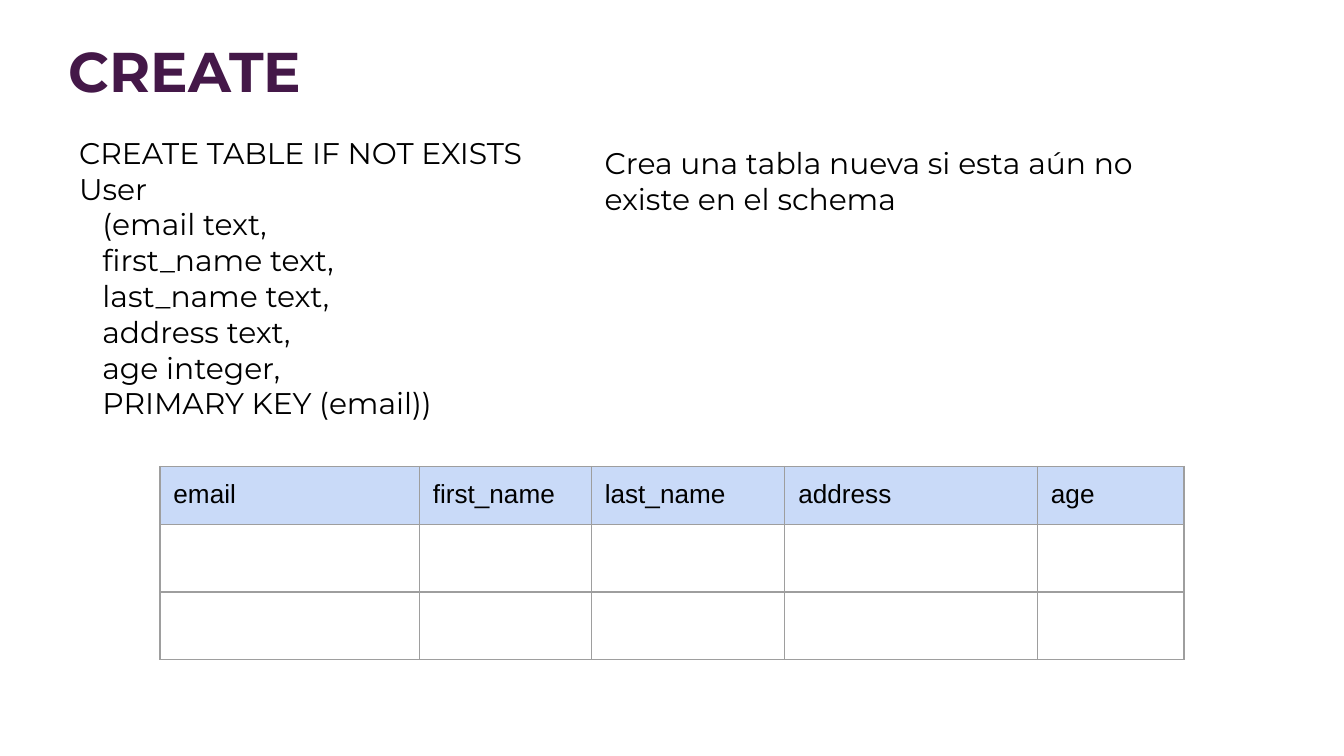
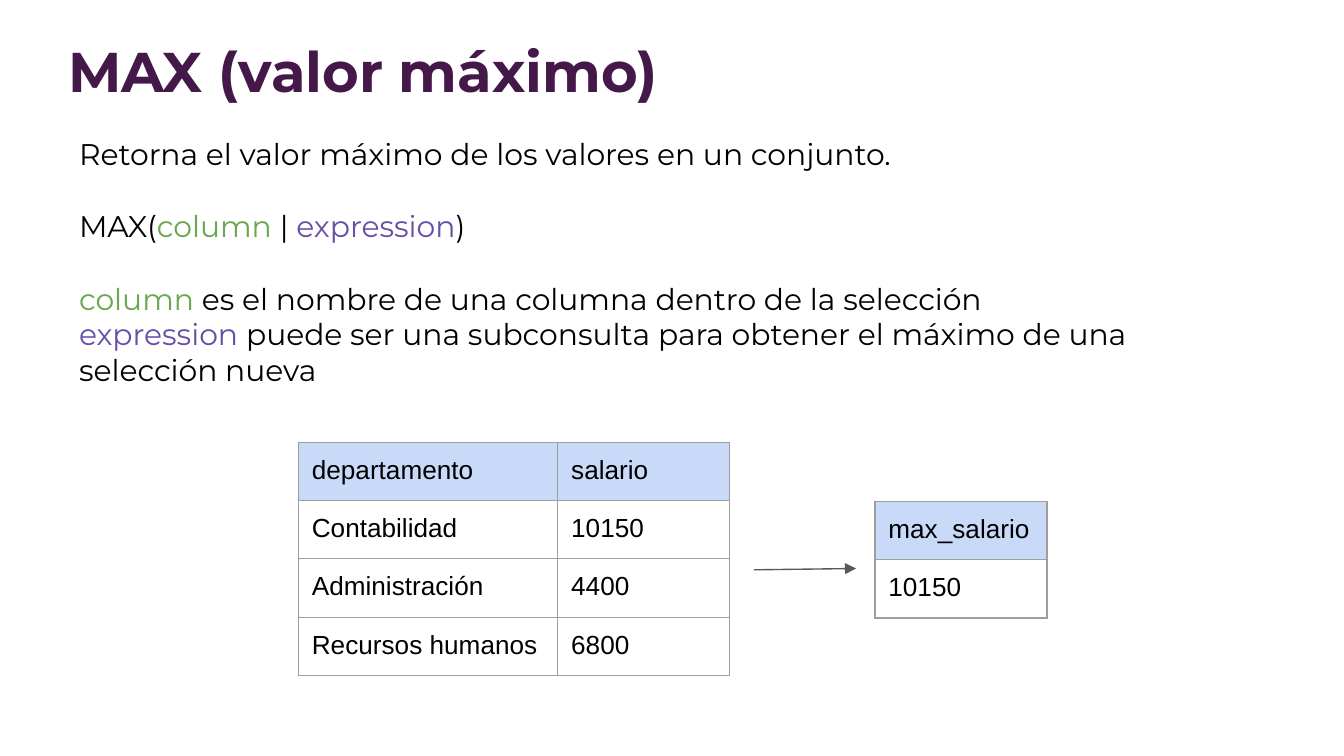
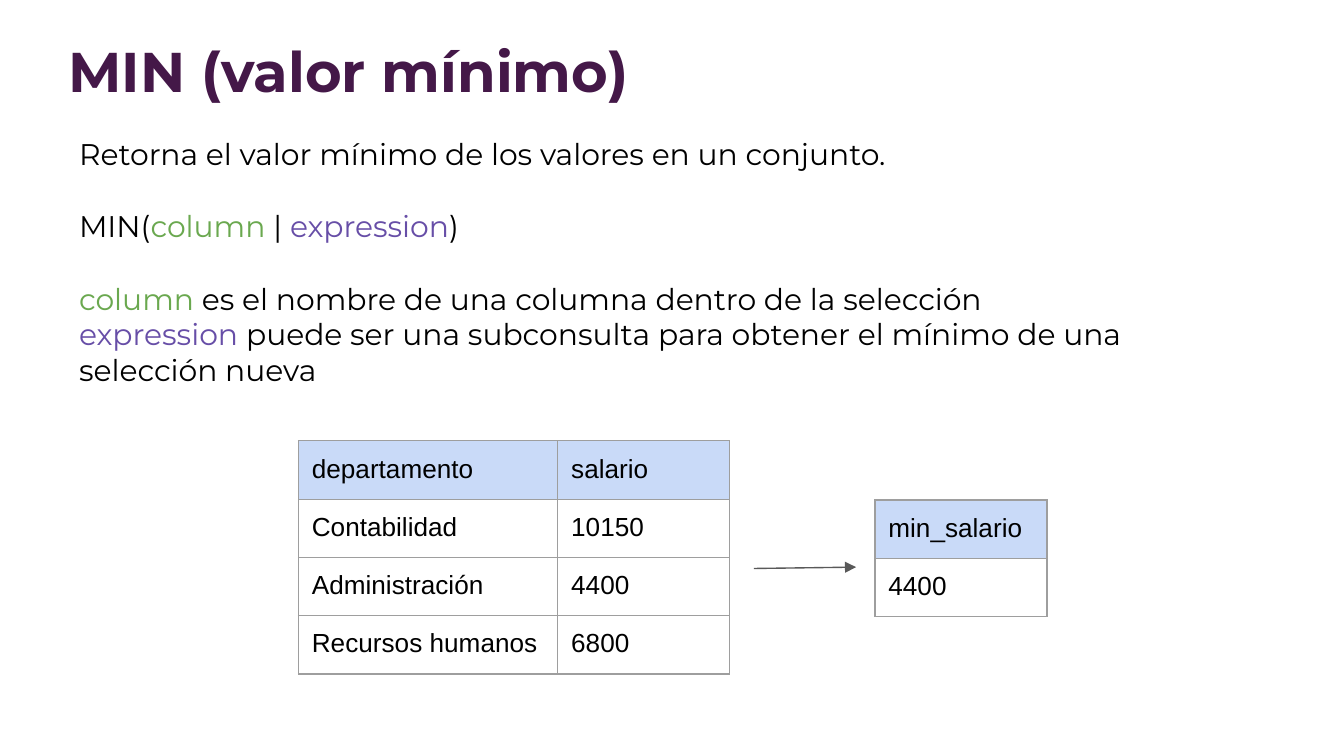
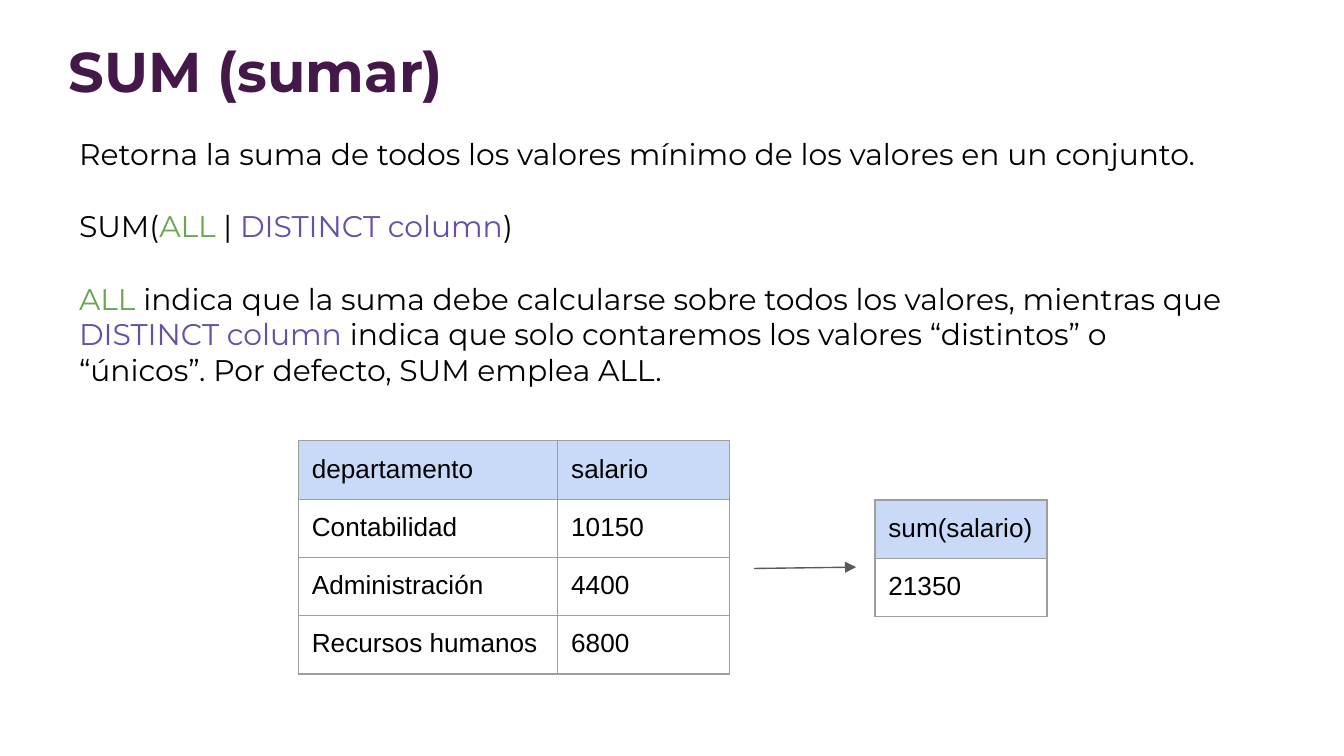
import pptx
import pptx.dml.color
import pptx.enum.shapes
import pptx.enum.text
import pptx.oxml
import pptx.oxml.ns
import pptx.util
from lxml import etree

Inches = pptx.util.Inches
Pt = pptx.util.Pt

BLACK = "000000"
PURPLE = "441848"
GREEN = "6AA84F"
VIOLET = "674EA7"
HEADER_FILL = "C9DAF8"
BORDER = "9E9E9E"
ARROW = "595959"
BODY_FONT = "Montserrat"
TABLE_FONT = "Arial"
MARGIN = 0.1
ROW_H = 0.43
EMPTY_ROW_H = 0.5
BLANK_LINE = 19.5

SALARIES = [
    ["departamento", "salario"],
    ["Contabilidad", "10150"],
    ["Administración", "4400"],
    ["Recursos humanos", "6800"],
]


def rgb(color):
    return pptx.dml.color.RGBColor.from_string(color)


def add_text(p, text, size=16, font=BODY_FONT, color=BLACK, bold=False):
    r = p.add_run()
    r.text = text
    r.font.size = Pt(size)
    r.font.name = font
    r.font.bold = bold
    r.font.color.rgb = rgb(color)


def set_frame(tf):
    tf.word_wrap = True
    tf.vertical_anchor = pptx.enum.text.MSO_ANCHOR.TOP
    tf.margin_left = tf.margin_right = Inches(MARGIN)
    tf.margin_top = tf.margin_bottom = Inches(MARGIN)


def add_slide(prs, title):
    s = prs.slides.add_slide(prs.slide_layouts[5])
    sp = s.shapes.title
    sp.left, sp.top = Inches(0.41), Inches(0.17)
    sp.width, sp.height = Inches(9.38), Inches(0.59)
    tf = sp.text_frame
    set_frame(tf)
    tf.auto_size = pptx.enum.text.MSO_AUTO_SIZE.NONE
    p = tf.paragraphs[0]
    p.alignment = pptx.enum.text.PP_ALIGN.LEFT
    add_text(p, title, size=30, color=PURPLE, bold=True)
    return s


def add_body(s, x, y, w, h, paragraphs, spaced=()):
    tf = s.shapes.add_textbox(Inches(x), Inches(y), Inches(w), Inches(h)).text_frame
    set_frame(tf)
    tf.auto_size = pptx.enum.text.MSO_AUTO_SIZE.SHAPE_TO_FIT_TEXT
    for i, runs in enumerate(paragraphs):
        p = tf.paragraphs[0] if i == 0 else tf.add_paragraph()
        if i in spaced:
            p.space_before = Pt(BLANK_LINE)
        for text, color in runs:
            add_text(p, text, color=color)


def set_borders(cell):
    tcPr = cell._tc.get_or_add_tcPr()
    for i, side in enumerate(("lnL", "lnR", "lnT", "lnB")):
        ln = pptx.oxml.parse_xml(
            f'<a:{side} {pptx.oxml.ns.nsdecls("a")} w="{Pt(0.75)}"><a:solidFill>'
            f'<a:srgbClr val="{BORDER}"/></a:solidFill></a:{side}>'
        )
        tcPr.insert(i, ln)


def add_table(s, x, y, widths, rows):
    heights = [ROW_H if any(row) else EMPTY_ROW_H for row in rows]
    table = s.shapes.add_table(
        len(rows), len(widths), Inches(x), Inches(y),
        Inches(sum(widths)), Inches(sum(heights)),
    ).table
    table.first_row = table.horz_banding = False
    for column, width in zip(table.columns, widths):
        column.width = Inches(width)
    for i, row in enumerate(rows):
        table.rows[i].height = Inches(heights[i])
        for j, text in enumerate(row):
            cell = table.cell(i, j)
            cell.margin_left = cell.margin_right = Inches(MARGIN)
            cell.margin_top = cell.margin_bottom = Inches(MARGIN)
            if i == 0:
                cell.fill.solid()
                cell.fill.fore_color.rgb = rgb(HEADER_FILL)
            else:
                cell.fill.background()
            set_borders(cell)
            if text:
                add_text(cell.text_frame.paragraphs[0], text, size=14, font=TABLE_FONT)


def add_arrow(s, x1, y1, x2, y2):
    c = s.shapes.add_connector(
        pptx.enum.shapes.MSO_CONNECTOR.STRAIGHT,
        Inches(x1), Inches(y1), Inches(x2), Inches(y2),
    )
    c.line.color.rgb = rgb(ARROW)
    c.line.width = Pt(0.75)
    qn = pptx.oxml.ns.qn
    etree.SubElement(c.line._get_or_add_ln(), qn("a:tailEnd"), type="triangle")
    etree.SubElement(c._element.spPr, qn("a:effectLst"))


def add_create_slide(prs):
    s = add_slide(prs, "CREATE")
    code = [
        "CREATE TABLE IF NOT EXISTS",
        "User",
        "   (email text,",
        "   first_name text,",
        "   last_name text,",
        "   address text,",
        "   age integer,",
        "   PRIMARY KEY (email))",
    ]
    add_body(s, 0.49, 0.9, 4.09, 2.36, [[(line, BLACK)] for line in code])
    header = ["email", "first_name", "last_name", "address", "age"]
    empty = [""] * len(header)
    add_table(s, 1.19, 3.47, [1.93, 1.28, 1.44, 1.88, 1.09], [header, empty, empty])
    note = "Crea una tabla nueva si esta aún no existe en el schema"
    add_body(s, 4.4, 0.98, 4.78, 0.74, [[(note, BLACK)]])


def add_function_slide(prs, title, paragraphs, result, table_y=3.28):
    s = add_slide(prs, title)
    add_body(s, 0.49, 0.91, 8.71, 2.09, paragraphs, spaced=(1, 2))
    add_table(s, 2.22, table_y, [1.93, 1.28], SALARIES)
    add_table(s, 6.51, table_y + 0.44, [1.28], [[text] for text in result])
    add_arrow(s, 5.61, table_y + 0.95, 6.37, table_y + 0.94)


def extreme_text(name, adjective):
    return [
        [(f"Retorna el valor {adjective} de los valores en un conjunto.", BLACK)],
        [(f"{name}(", BLACK), ("column ", GREEN), ("| ", BLACK),
         ("expression", VIOLET), (")", BLACK)],
        [("column ", GREEN),
         ("es el nombre de una columna dentro de la selección", BLACK)],
        [("expression", VIOLET),
         (f" puede ser una subconsulta para obtener el {adjective} de una "
          "selección nueva", BLACK)],
    ]


def sum_text():
    return [
        [("Retorna la suma de todos los valores mínimo de los valores en un "
          "conjunto.", BLACK)],
        [("SUM(", BLACK), ("ALL", GREEN), (" | ", BLACK),
         ("DISTINCT column", VIOLET), (")", BLACK)],
        [("ALL ", GREEN),
         ("indica que la suma debe calcularse sobre todos los valores, "
          "mientras que ", BLACK),
         ("DISTINCT column ", VIOLET),
         ("indica que solo contaremos los valores “distintos” o “únicos”. "
          "Por defecto, SUM emplea ALL.", BLACK)],
    ]


def main():
    prs = pptx.Presentation()
    prs.slide_width = Inches(10)
    prs.slide_height = prs.slide_width * 9 // 16
    add_create_slide(prs)
    add_function_slide(prs, "MAX (valor máximo)", extreme_text("MAX", "máximo"),
                       ["max_salario", "10150"], table_y=3.29)
    add_function_slide(prs, "MIN (valor mínimo)", extreme_text("MIN", "mínimo"),
                       ["min_salario", "4400"])
    add_function_slide(prs, "SUM (sumar)", sum_text(), ["sum(salario)", "21350"])
    prs.save("out.pptx")


if __name__ == "__main__":
    main()
